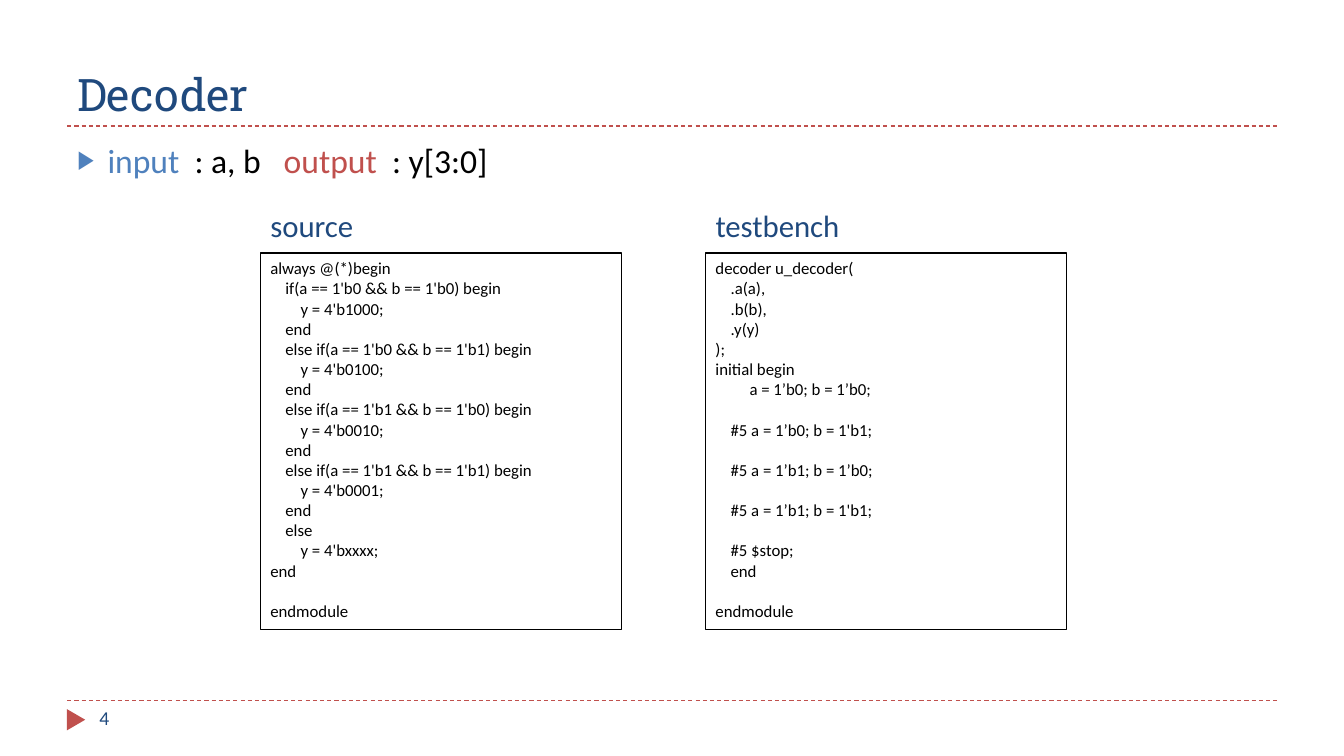
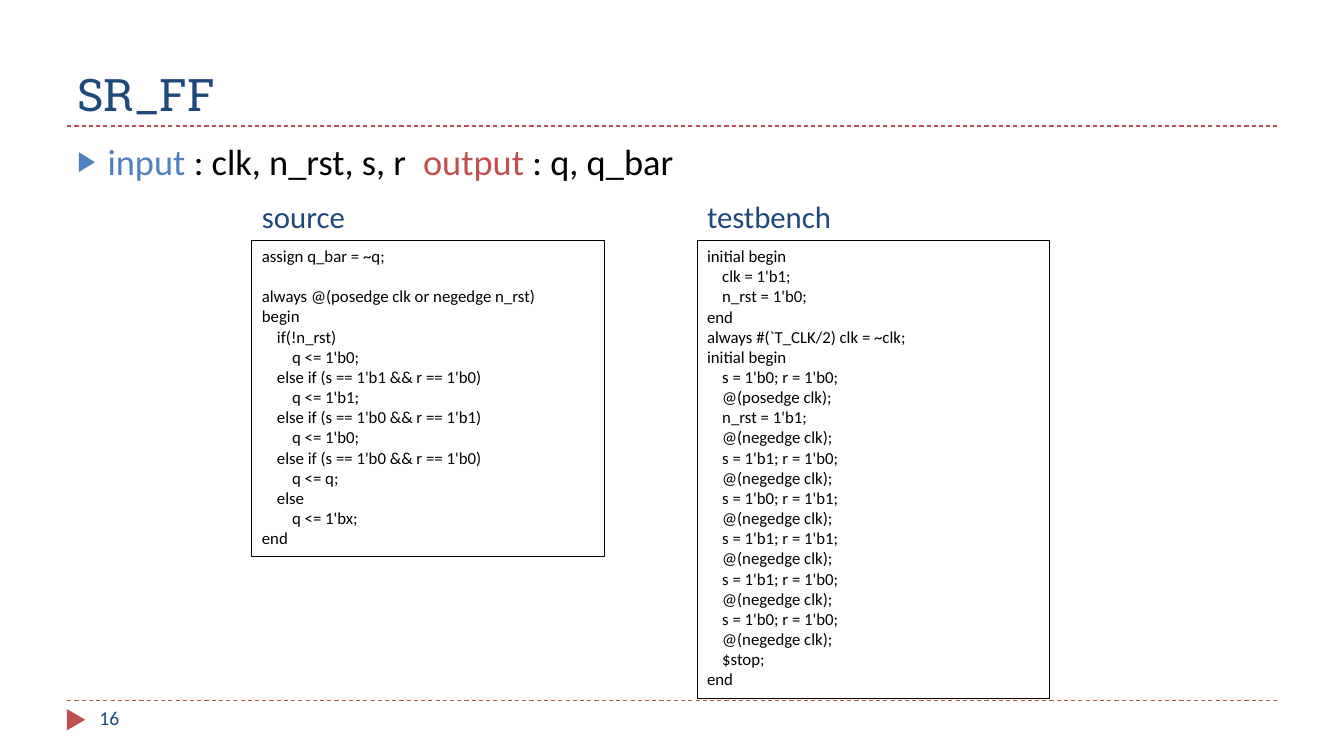
from dataclasses import dataclass

from pptx import Presentation
from pptx.dml.color import RGBColor
from pptx.enum.dml import MSO_LINE
from pptx.enum.shapes import MSO_CONNECTOR, MSO_SHAPE
from pptx.enum.text import MSO_ANCHOR, MSO_AUTO_SIZE, PP_ALIGN
from pptx.oxml.ns import qn
from pptx.util import Pt
from lxml.etree import SubElement

# Shared palette, text styles and frame settings
NAVY, BLUE, RED, BLACK = "1F497D", "4F81BD", "C0504D", "000000"
TITLE = {"name": "Roboto Slab", "size": Pt(32), "bold": False}
LABEL = {"name": "Calibri", "size": Pt(22)}
NUMBER = {"name": "Calibri", "size": Pt(14)}
CODE = {"name": "Calibri", "size": Pt(12)}
FRAME = {"word_wrap": True, "auto_size": MSO_AUTO_SIZE.NONE,
         "vertical_anchor": MSO_ANCHOR.TOP}
CODE_LINE = 14.54       # height of one code line
CODE_GAP = 14.4         # blank line inside code
SPACE_WIDTH = 0.226     # width of a space, in ems
PANEL_PITCH = 318
LABEL_HEIGHT = 34


@dataclass
class Box:
    left: float
    top: float
    width: float
    height: float

    def points(self):
        return [Pt(v) for v in (self.left, self.top, self.width, self.height)]


CONTENT = Box(48, 90, 864, 410.4)   # area between the two dashed rules


def color(value):
    return RGBColor.from_string(value)


def apply(target, values):
    for name, value in values.items():
        setattr(target, name, value)


def add_run(paragraph, text, style, fill):
    run = paragraph.add_run()
    run.text = text
    apply(run.font, style)
    run.font.color.rgb = color(fill)
    return run


def place(shape, box):
    apply(shape, dict(zip(("left", "top", "width", "height"), box.points())))


def add_text(slide, box, text, style):
    shape = slide.shapes.add_textbox(*box.points())
    apply(shape.text_frame, FRAME)
    add_run(shape.text_frame.paragraphs[0], text, style, NAVY)


def add_rule(slide, box, top):
    rule = slide.shapes.add_connector(
        MSO_CONNECTOR.STRAIGHT, Pt(box.left), Pt(top),
        Pt(box.left + box.width), Pt(top))
    apply(rule.line, {"width": Pt(0.75), "dash_style": MSO_LINE.DASH})
    rule.line.color.rgb = color(RED)
    SubElement(rule._element.spPr, qn("a:effectLst"))


def add_frame(slide, box, title, number):
    # Dashed rules above and below the content
    bottom = box.top + box.height
    for top in (box.top, bottom):
        add_rule(slide, box, top)

    # Footer marker and slide number
    marker = slide.shapes.add_shape(
        MSO_SHAPE.ISOSCELES_TRIANGLE,
        *Box(box.left - 1.2, bottom + 7.2, 15.1, 13).points())
    marker.rotation = 90
    marker.shadow.inherit = False
    marker.fill.solid()
    marker.fill.fore_color.rgb = color(RED)
    marker.line.fill.background()
    add_text(slide, Box(box.left + 16, bottom, 208, 29), number, NUMBER)

    # Title sitting on the upper rule
    heading = slide.shapes.title
    place(heading, Box(box.left, box.top - 78, box.width, 78))
    apply(heading.text_frame, {**FRAME, "vertical_anchor": MSO_ANCHOR.BOTTOM})
    paragraph = heading.text_frame.paragraphs[0]
    paragraph.alignment = PP_ALIGN.LEFT
    add_run(paragraph, title, TITLE, NAVY)


def add_ports(slide, box, size, gaps, inputs, outputs):
    """Bulleted line of ports; gaps are widths counted in spaces."""
    body = slide.placeholders[1]
    place(body, Box(box.left, box.top + 6, box.width, box.height - 21))
    apply(body.text_frame, FRAME)
    paragraph = body.text_frame.paragraphs[0]
    paragraph.space_before = Pt(0)
    properties = paragraph._p.get_or_add_pPr()
    properties.set("marL", str(Pt(21.6)))
    properties.set("indent", str(-Pt(21.6)))
    bullet_color = SubElement(properties, qn("a:buClr"))
    SubElement(bullet_color, qn("a:srgbClr"), val=BLUE)
    SubElement(properties, qn("a:buSzPct"), val="76000")
    SubElement(properties, qn("a:buChar"), char="▶")

    style = {"name": "Calibri", "size": Pt(size)}
    parts = [("input", BLUE), (inputs, BLACK), ("output", RED), (outputs, BLACK)]
    for (text, fill), gap in zip(parts, (*gaps, 0)):
        add_run(paragraph, text, style, fill)
        if gap:
            space = add_run(paragraph, " ", style, BLACK)
            tracking = (gap - 1) * SPACE_WIDTH * size
            space.font._element.set("spc", str(round(tracking * 100)))


def add_code_panel(slide, box, label, code):
    # Label above the listing
    add_text(slide, Box(box.left, box.top, 162, LABEL_HEIGHT), label, LABEL)

    # Outlined listing, as tall as its lines
    lines = code.strip("\n").split("\n")
    listing = slide.shapes.add_shape(
        MSO_SHAPE.RECTANGLE,
        *Box(box.left, box.top + box.height, box.width,
             len(lines) * CODE_LINE + 7.2).points())
    listing.shadow.inherit = False
    listing.fill.background()
    listing.line.color.rgb = color(BLACK)
    listing.line.width = Pt(0.75)
    frame = listing.text_frame
    apply(frame, FRAME)

    # A blank line becomes space before the next one
    paragraph, gap = frame.paragraphs[0], 0
    for index, line in enumerate(lines):
        if not line:
            gap += CODE_GAP
            continue
        if index:
            paragraph = frame.add_paragraph()
        paragraph.alignment = PP_ALIGN.LEFT
        paragraph.space_before = Pt(gap)
        add_run(paragraph, line, CODE, BLACK)
        gap = 0


def add_module_slide(presentation, title, number, ports, panel, source, testbench):
    slide = presentation.slides.add_slide(presentation.slide_layouts[1])
    add_frame(slide, CONTENT, title, number)
    add_ports(slide, CONTENT, **ports)
    for column, (label, code) in enumerate(
            (("source", source), ("testbench", testbench))):
        box = Box(panel.left + column * PANEL_PITCH, panel.top,
                  panel.width, panel.height)
        add_code_panel(slide, box, label, code)


DECODER_SOURCE = """
always @(*)begin
    if(a == 1'b0 && b == 1'b0) begin
        y = 4'b1000;
    end
    else if(a == 1'b0 && b == 1'b1) begin
        y = 4'b0100;
    end
    else if(a == 1'b1 && b == 1'b0) begin
        y = 4'b0010;
    end
    else if(a == 1'b1 && b == 1'b1) begin
        y = 4'b0001;
    end
    else
        y = 4'bxxxx;
end

endmodule
"""

DECODER_TESTBENCH = """
decoder u_decoder(
    .a(a),
    .b(b),
    .y(y)
);
initial begin
         a = 1’b0; b = 1’b0;

    #5 a = 1’b0; b = 1'b1;

    #5 a = 1’b1; b = 1’b0;

    #5 a = 1’b1; b = 1'b1;

    #5 $stop;
    end

endmodule
"""

SR_FF_SOURCE = """
assign q_bar = ~q;

always @(posedge clk or negedge n_rst)
begin
    if(!n_rst)
        q <= 1'b0;
    else if (s == 1'b1 && r == 1'b0)
        q <= 1'b1;
    else if (s == 1'b0 && r == 1'b1)
        q <= 1'b0;
    else if (s == 1'b0 && r == 1'b0)
        q <= q;
    else
        q <= 1'bx;
end
"""

SR_FF_TESTBENCH = """
initial begin
    clk = 1'b1;
    n_rst = 1'b0;
end
always #(`T_CLK/2) clk = ~clk;
initial begin
    s = 1'b0; r = 1'b0;
    @(posedge clk);
    n_rst = 1'b1;
    @(negedge clk);
    s = 1'b1; r = 1'b0;
    @(negedge clk);
    s = 1'b0; r = 1'b1;
    @(negedge clk);
    s = 1'b1; r = 1'b1;
    @(negedge clk);
    s = 1'b1; r = 1'b0;
    @(negedge clk);
    s = 1'b0; r = 1'b0;
    @(negedge clk);
    $stop;
end
"""


def main():
    presentation = Presentation()
    presentation.slide_width, presentation.slide_height = Pt(960), Pt(540)
    # Panel boxes: left, top and width of a panel, height of its label row
    add_module_slide(
        presentation, "Decoder", "4",
        {"size": 24, "gaps": (2, 3, 2), "inputs": ": a, b", "outputs": ": y[3:0]"},
        Box(186, 144, 258, 36.7), DECODER_SOURCE, DECODER_TESTBENCH)
    add_module_slide(
        presentation, "SR_FF", "16",
        {"size": 26, "gaps": (1, 2, 1), "inputs": ": clk, n_rst, s, r",
         "outputs": ": q, q_bar"},
        Box(180, 138, 252, 34), SR_FF_SOURCE, SR_FF_TESTBENCH)
    presentation.save("out.pptx")


if __name__ == "__main__":
    main()
